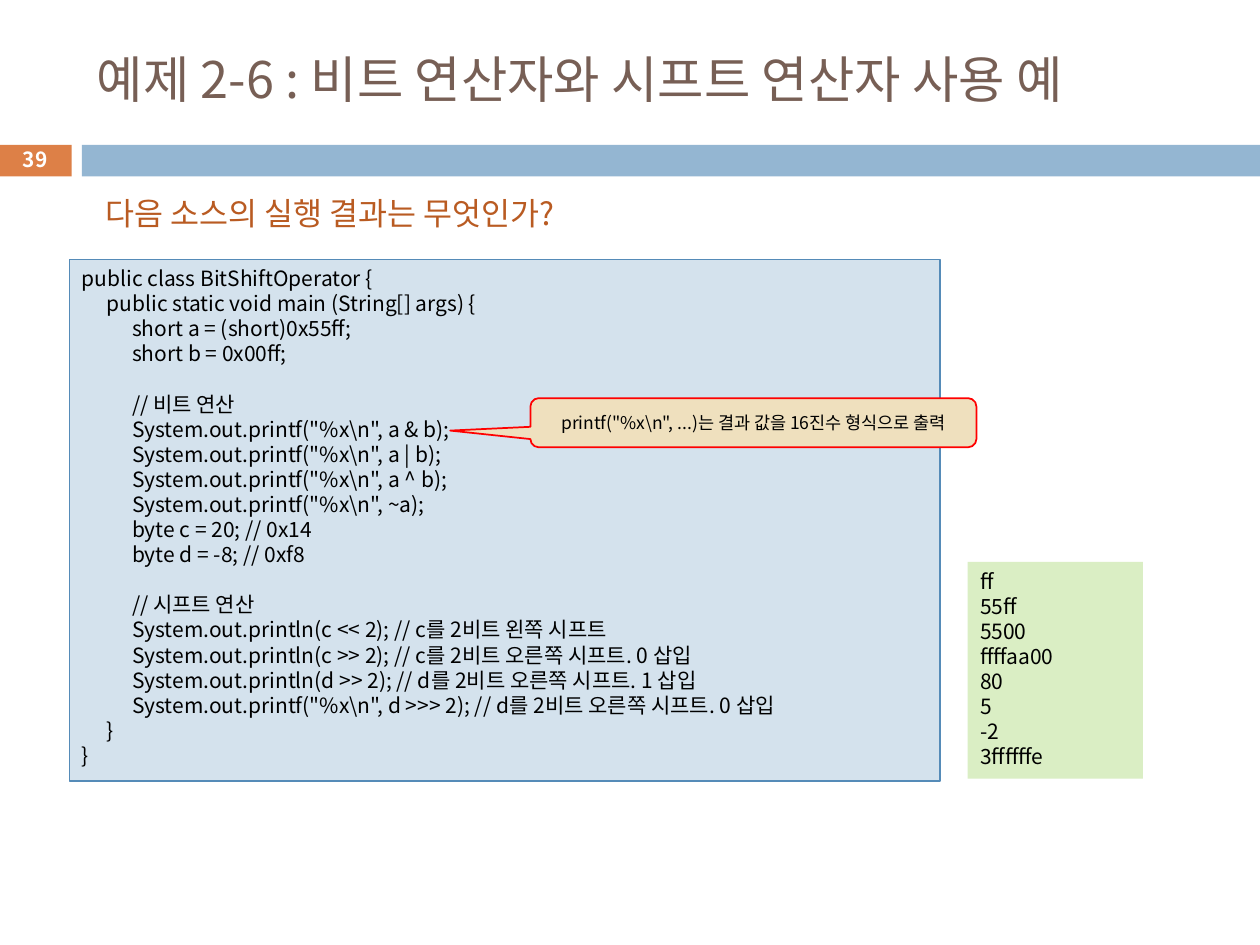
from pptx import Presentation
from pptx.dml.color import RGBColor
from pptx.enum.shapes import MSO_SHAPE
from pptx.enum.text import MSO_ANCHOR, PP_ALIGN
from pptx.oxml.ns import qn
from pptx.util import Inches, Pt
from lxml import etree

RECT, CALL = MSO_SHAPE.RECTANGLE, MSO_SHAPE.ROUNDED_RECTANGULAR_CALLOUT
TOP, MID = MSO_ANCHOR.TOP, MSO_ANCHOR.MIDDLE
LEFT, MIDDLE = PP_ALIGN.LEFT, PP_ALIGN.CENTER
FONT = "Noto Sans CJK KR"
PITCH = 14.35  # points from one code line to the next
TAB = 0.2      # inches per indent level
COLORS = {
    "orange": "DD8047", "blue": "94B6D2", "brown": "775F55", "rust": "B95B22",
    "code": "D4E2ED", "edge": "558BB8", "green": "DAEEC4", "sand": "EFE0BE",
    "red": "FF0000", "black": "000000", "white": "FFFFFF",
}

CODE = r'''public class BitShiftOperator {
	public static void main (String[] args) {
		short a = (short)0x55ff;
		short b = 0x00ff;

		// 비트 연산
		System.out.printf("%x\n", a & b);
		System.out.printf("%x\n", a | b);
		System.out.printf("%x\n", a ^ b);
		System.out.printf("%x\n", ~a);
		byte c = 20; // 0x14
		byte d = -8; // 0xf8

		// 시프트 연산
		System.out.println(c << 2); // c를 2비트 왼쪽 시프트
		System.out.println(c >> 2); // c를 2비트 오른쪽 시프트. 0 삽입
		System.out.println(d >> 2); // d를 2비트 오른쪽 시프트. 1 삽입
		System.out.printf("%x\n", d >>> 2); // d를 2비트 오른쪽 시프트. 0 삽입
	}
}'''
OUTPUT = "ff\n55ff\n5500\nffffaa00\n80\n5\n-2\n3ffffffe"


def color(name):
    return RGBColor.from_string(COLORS[name])


class Deck:
    """Places elements on a grid of 100 columns by 75 rows."""

    def __init__(self):
        self.prs = Presentation()
        self.prs.slide_width, self.prs.slide_height = Inches(10), Inches(7.5)
        self.slide = self.prs.slides.add_slide(self.prs.slide_layouts[6])

    def area(self, col, row, cols, rows):
        wide, high = self.prs.slide_width / 100, self.prs.slide_height / 75
        return [int(n) for n in (col * wide, row * high, cols * wide, rows * high)]

    def box(self, spot, fill, line=None, width=1, kind=RECT):
        shape = self.slide.shapes.add_shape(kind, *self.area(*spot))
        shape.shadow.inherit = False
        shape.fill.solid()
        shape.fill.fore_color.rgb = color(fill)
        if line:
            shape.line.color.rgb = color(line)
            shape.line.width = Pt(width)
        else:
            shape.line.fill.background()
        return shape

    def label(self, spot, text, size, ink, **style):
        shape = self.slide.shapes.add_textbox(*self.area(*spot))
        self.words(shape, text, size, ink, **style)

    def words(self, shape, text, size, ink, align=LEFT, anchor=TOP, bold=False):
        frame = shape.text_frame
        frame.word_wrap = True
        frame.vertical_anchor = anchor
        para = frame.paragraphs[0]
        self.run(para, text, size, ink, bold)
        para.alignment = align

    def run(self, para, text, size, ink, bold=False):
        run = para.add_run()
        run.text = text
        run.font.size, run.font.bold = Pt(size), bold
        run.font.color.rgb = color(ink)
        run.font.name = FONT
        east = etree.SubElement(run._r.get_or_add_rPr(), qn("a:ea"))
        east.set("typeface", FONT)

    def lines(self, shape, text):
        """One paragraph a line; an empty line becomes space before the next."""
        frame = shape.text_frame
        frame.word_wrap = True
        frame.vertical_anchor = TOP
        para, gap = frame.paragraphs[0], 0
        for index, line in enumerate(text.split("\n")):
            if not line:
                gap = PITCH
                continue
            if index:
                para = frame.add_paragraph()
            para.alignment = LEFT
            para.line_spacing, para.space_before = Pt(PITCH), Pt(gap)
            self.stops(para)
            self.run(para, line, 12, "black")
            gap = 0

    def stops(self, para):
        tabs = etree.SubElement(para._p.get_or_add_pPr(), qn("a:tabLst"))
        for level in (1, 2):
            stop = etree.SubElement(tabs, qn("a:tab"))
            stop.set("pos", str(Inches(TAB * level)))
            stop.set("algn", "l")


def main():
    deck = Deck()

    # Header band and title
    deck.box((0, 11.5, 5.7, 2.5), "orange")
    deck.box((6.5, 11.5, 93.5, 2.5), "blue")
    deck.label((6.7, 2.5, 89.2, 7.4), "예제 2-6 : 비트 연산자와 시프트 연산자 사용 예",
               28.8, "brown", anchor=MID)

    # Source code
    deck.lines(deck.box((5.5, 20.6, 69.1, 41.4), "code", "edge", 0.75), CODE)

    # Question
    deck.label((7.4, 14.9, 90.6, 4), "다음 소스의 실행 결과는 무엇인가?", 18, "rust")

    # Program output
    deck.lines(deck.box((76.8, 44.6, 13.9, 17.2), "green"), OUTPUT)

    # Callout on the first printf
    note = deck.box((42.1, 31.6, 35.4, 3.9), "sand", "red", kind=CALL)
    for index, value in enumerate((-0.68, 0.16, 0.17)):
        note.adjustments[index] = value
    deck.words(note, r'printf("%x\n", ...)는 결과 값을 16진수 형식으로 출력', 10, "black",
               align=MIDDLE, anchor=MID)

    # Page number
    deck.label((0, 11.3, 5.6, 2.7), "39", 11.9, "white",
               align=MIDDLE, anchor=MID, bold=True)
    deck.prs.save("out.pptx")


if __name__ == "__main__":
    main()
